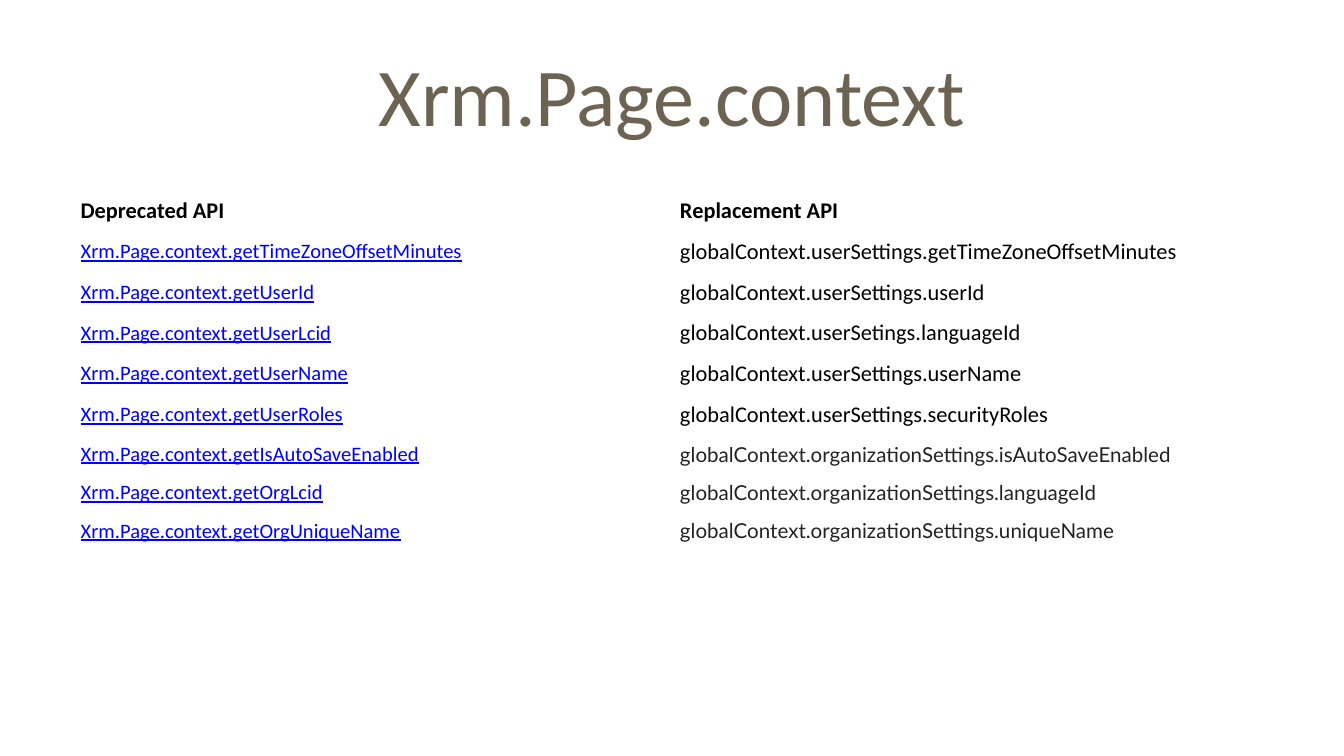
from pptx import Presentation
from pptx.dml.color import RGBColor
from pptx.enum.text import MSO_ANCHOR, PP_ALIGN
from pptx.util import Pt

HEADS = ("Deprecated API", "Replacement API")
USER = [
    ("getTimeZoneOffsetMinutes", "userSettings.getTimeZoneOffsetMinutes"),
    ("getUserId", "userSettings.userId"),
    ("getUserLcid", "userSetings.languageId"),
    ("getUserName", "userSettings.userName"),
    ("getUserRoles", "userSettings.securityRoles"),
]
ORG = [
    ("getIsAutoSaveEnabled", "isAutoSaveEnabled"),
    ("getOrgLcid", "languageId"),
    ("getOrgUniqueName", "uniqueName"),
]


def style(para, size, color, face="Calibri", bold=False, line=False):
    """Set the font of a whole paragraph."""
    font = para.font
    font.name, font.size = face, Pt(size)
    font.bold, font.underline = bold, line
    font.color.rgb = RGBColor.from_string(color)


def add_title(slide, box, text):
    """Place the centred slide title in the box."""
    frame = slide.shapes.add_textbox(*map(Pt, box)).text_frame
    frame.word_wrap = True
    frame.vertical_anchor = MSO_ANCHOR.MIDDLE
    para = frame.paragraphs[0]
    para.text = text
    para.alignment = PP_ALIGN.CENTER
    style(para, 44, "6C6352")


def fill_cell(cell, text, **look):
    """Write one plain table cell."""
    cell.fill.background()
    cell.vertical_anchor = MSO_ANCHOR.MIDDLE
    para = cell.text_frame.paragraphs[0]
    para.text = text
    style(para, **look)


def add_api(slide, box):
    """Place the table of old calls and their replacements in the box."""
    head = dict(size=12, color="000000", bold=True)
    link = dict(size=11, color="0000FF", line=True)
    user = dict(size=12, color="000000")
    org = dict(size=11, color="222222", face="Lato")
    rows = [(HEADS, 21.8, head, head)]
    for pairs, prefix, high, look in (
        (USER, "globalContext.", 21.8, user),
        (ORG, "globalContext.organizationSettings.", 20.6, org),
    ):
        for old, new in pairs:
            texts = ("Xrm.Page.context." + old, prefix + new)
            rows.append((texts, high, link, look))

    table = slide.shapes.add_table(len(rows), 2, *map(Pt, box)).table
    table.first_row = table.horz_banding = False
    for row, (texts, high, *looks) in zip(table.rows, rows):
        row.height = Pt(high)
        for cell, text, look in zip(row.cells, texts, looks):
            fill_cell(cell, text, **look)


def main():
    """Build and save the slide."""
    deck = Presentation()
    deck.slide_width, deck.slide_height = Pt(720), Pt(405)
    slide = deck.slides.add_slide(deck.slide_layouts[6])
    add_title(slide, (36, 16.5, 648, 67.5), "Xrm.Page.context")
    add_api(slide, (36, 102.2, 642.2, 190.8))
    deck.save("out.pptx")


if __name__ == "__main__":
    main()
